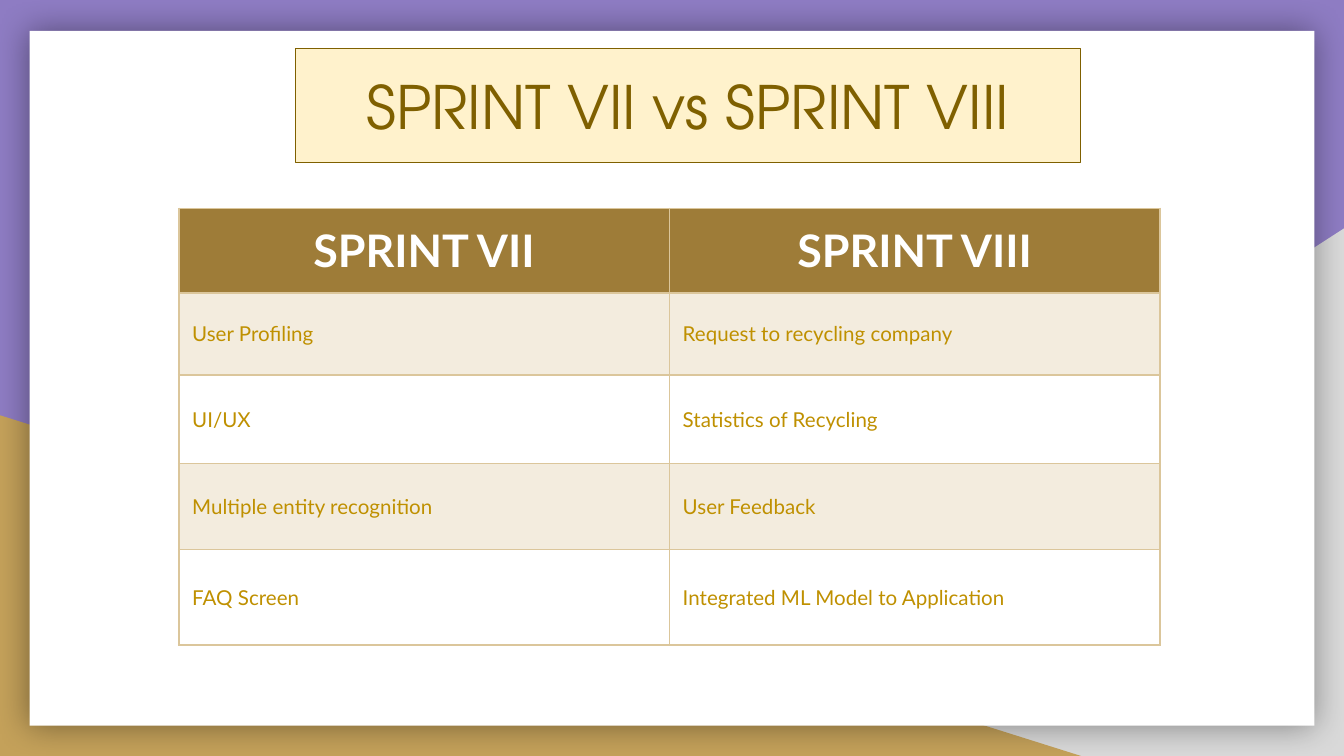
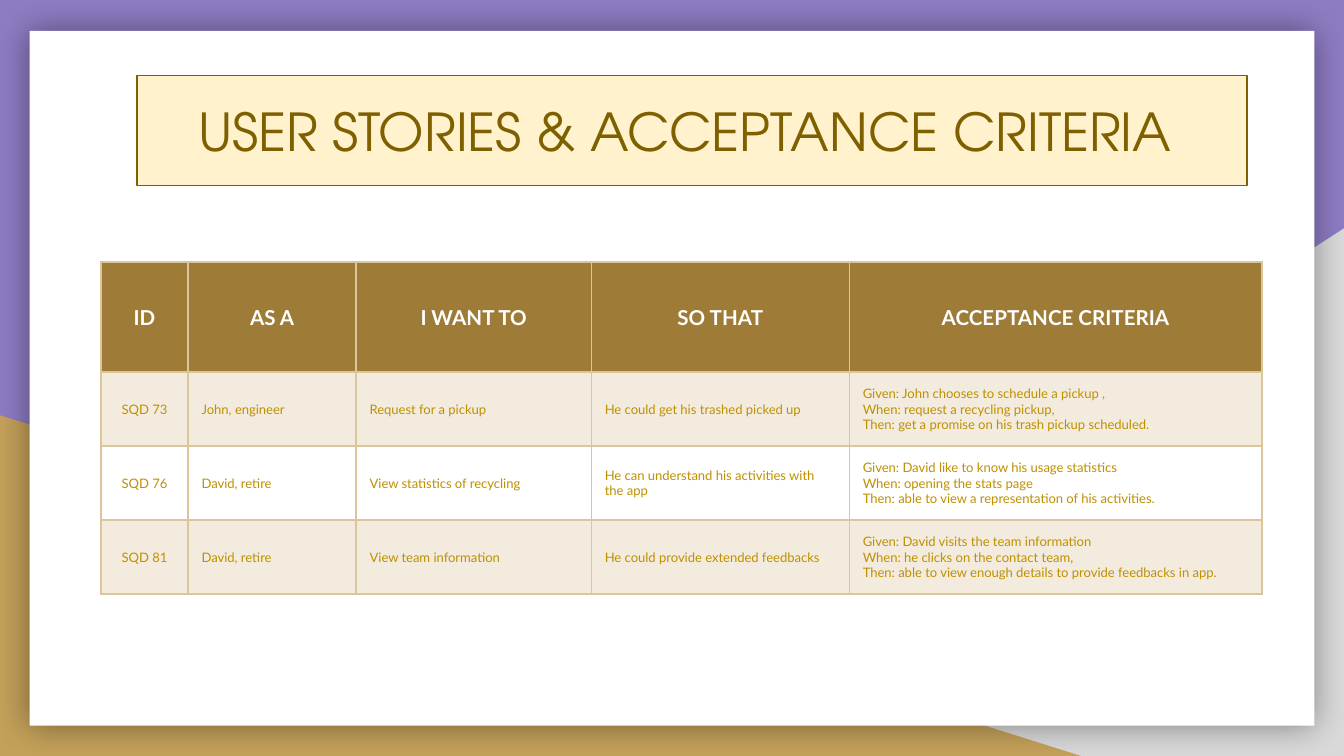
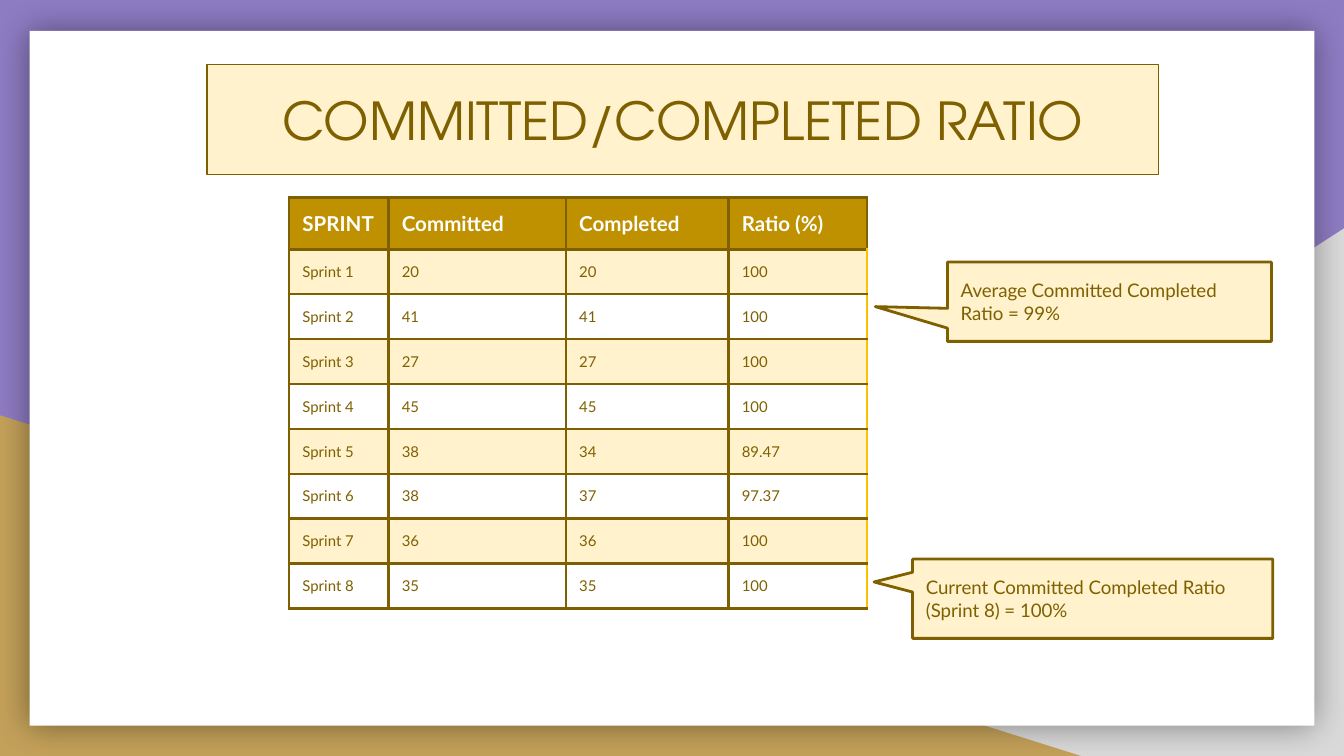
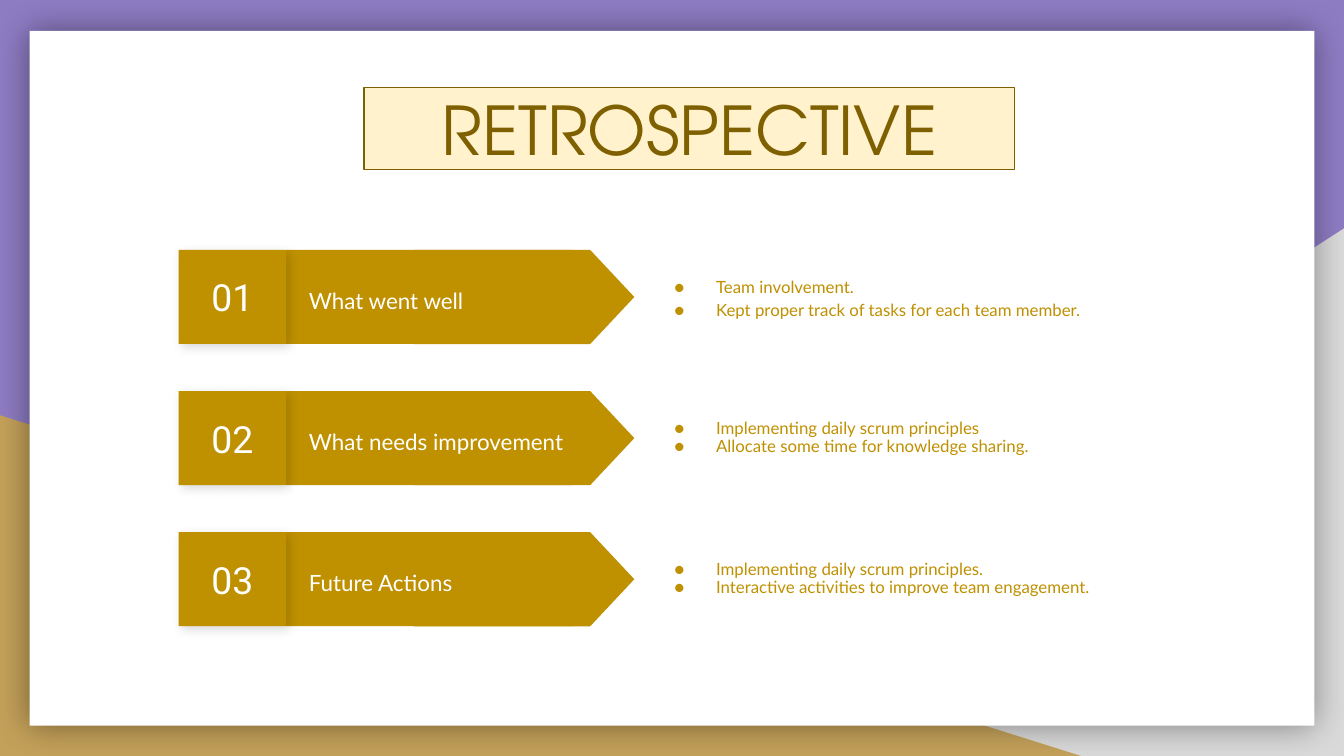
from lxml.etree import SubElement
from pptx import Presentation
from pptx.dml.color import RGBColor
from pptx.enum.shapes import MSO_SHAPE
from pptx.enum.text import MSO_ANCHOR, PP_ALIGN
from pptx.oxml import parse_xml
from pptx.oxml.ns import nsdecls, qn
from pptx.util import Inches, Pt

PURPLE = "8E7CC3"
GREY = "D9D9D9"
SAND = "C4A15A"
SAND_LINE = "DBC69B"
BROWN = "9E7C38"
GOLD = "BF9000"
AMBER = "FFC000"
CREAM = "FFF2CC"
OLIVE = "7F6000"
WHITE = "FFFFFF"
TITLE_FONT = "TeX Gyre Adventor"

color = RGBColor.from_string


def add_box(shapes, kind, at, fill, line=None, width=0.75, shadow=None):
    box = shapes.add_shape(kind, *map(Inches, at))
    box.fill.solid()
    box.fill.fore_color.rgb = color(fill)
    if line:
        box.line.color.rgb = color(line)
        box.line.width = Pt(width)
    else:
        box.line.fill.background()
    box.shadow.inherit = False
    if shadow:
        opacity, blur, distance, angle = shadow
        box.element.spPr.find(qn("a:effectLst")).append(parse_xml(
            f'<a:outerShdw {nsdecls("a")} blurRad="{Pt(blur)}" dist="{Pt(distance)}" '
            f'dir="{angle * 60000}" algn="ctr" rotWithShape="0"><a:srgbClr val="000000">'
            f'<a:alpha val="{opacity * 1000}"/></a:srgbClr></a:outerShdw>'))
    return box


def write(holder, text, size, ink, font="Lato", bold=False, align=PP_ALIGN.LEFT,
          anchor=MSO_ANCHOR.MIDDLE, inset=(0.1, 0.1), spacing=None, bullet=None):
    frame = getattr(holder, "text_frame", holder)
    frame.text = text
    frame.word_wrap = True
    holder.vertical_anchor = anchor
    holder.margin_left = holder.margin_right = Inches(inset[0])
    holder.margin_top = holder.margin_bottom = Inches(inset[1])
    for paragraph in frame.paragraphs:
        if bullet:
            properties = paragraph._p.get_or_add_pPr()
            properties.set("marL", str(Inches(0.5)))
            properties.set("indent", str(Inches(-0.31)))
            SubElement(SubElement(properties, qn("a:buClr")), qn("a:srgbClr")).set("val", ink)
            SubElement(properties, qn("a:buFont")).set("typeface", font)
            SubElement(properties, qn("a:buChar")).set("char", bullet)
        paragraph.alignment = align
        if spacing:
            paragraph.line_spacing = spacing
        for run in paragraph.runs:
            run.font.name = font
            run.font.size = Pt(size)
            run.font.bold = bold
            run.font.color.rgb = color(ink)


deck = Presentation()
deck.slide_width = Inches(10)
deck.slide_height = deck.slide_width * 9 // 16
blank = deck.slide_layouts[6]
slides = [deck.slides.add_slide(blank) for _ in range(4)]

master = deck.slide_master
master.background.fill.solid()
master.background.fill.fore_color.rgb = color(PURPLE)
draft = slides[0].shapes
grey_corner = add_box(draft, MSO_SHAPE.RIGHT_TRIANGLE, (3.92, 1.7, 6.08, 3.93), GREY)
grey_corner.element.spPr.xfrm.set("flipH", "1")
sand_corner = add_box(draft, MSO_SHAPE.RIGHT_TRIANGLE, (0, 3.09, 8.06, 2.54), SAND)
page = add_box(draft, MSO_SHAPE.RECTANGLE, (0.22, 0.23, 9.56, 5.17), WHITE, shadow=(40, 18, 0, 0))
for number, part in enumerate([grey_corner, sand_corner, page], 20):
    part.element.nvSpPr.cNvPr.set("id", str(number))
    master.shapes.element.append(part.element)

titles = [
    ("SPRINT VII vs SPRINT VIII", 32, (2.2, 0.36, 5.84, 0.85)),
    ("USER STORIES & ACCEPTANCE CRITERIA ", 28, (1.02, 0.56, 8.26, 0.82)),
    ("COMMITTED/COMPLETED RATIO", 28, (1.54, 0.48, 7.08, 0.82)),
    ("RETROSPECTIVE", 36, (2.71, 0.65, 4.84, 0.61)),
]
for slide, (title, size, at) in zip(slides, titles):
    banner = add_box(slide.shapes, MSO_SHAPE.RECTANGLE, at, CREAM, OLIVE)
    write(banner.text_frame, title, size, OLIVE, font=TITLE_FONT, align=PP_ALIGN.CENTER)

sprint_comparison = [
    ("SPRINT VII", "SPRINT VIII"),
    ("User Profiling", "Request to recycling company"),
    ("UI/UX", "Statistics of Recycling"),
    ("Multiple entity recognition", "User Feedback"),
    ("FAQ Screen", "Integrated ML Model to Application"),
]
user_stories = [
    ("ID", "AS A", "I WANT TO", "SO THAT", "ACCEPTANCE CRITERIA"),
    ("SQD 73", "John, engineer", "Request for a pickup", "He could get his trashed picked up",
     "Given: John chooses to schedule a pickup ,\nWhen: request a recycling pickup,\n"
     "Then: get a promise on his trash pickup scheduled."),
    ("SQD 76", "David, retire", "View statistics of recycling",
     "He can understand his activities with the app",
     "Given: David like to know his usage statistics\vWhen: opening the stats page\n"
     "Then: able to view a representation of his activities."),
    ("SQD 81", "David, retire", "View team information", "He could provide extended feedbacks",
     "Given: David visits the team information\nWhen: he clicks on the contact team,\n"
     "Then: able to view enough details to provide feedbacks in app."),
]
results = [(20, 20, "100"), (41, 41, "100"), (27, 27, "100"), (45, 45, "100"),
           (38, 34, "89.47"), (38, 37, "97.37"), (36, 36, "100"), (35, 35, "100")]
sprint_ratios = [("SPRINT", "Committed", "Completed", "Ratio (%)")]
for sprint, (committed, completed, ratio) in enumerate(results, 1):
    sprint_ratios.append((f"Sprint {sprint}", str(committed), str(completed), ratio))

sand_look = dict(head=BROWN, band=SAND, opacity=20, ink=GOLD, border=SAND_LINE, edge=SAND_LINE,
                 width=1, head_align=PP_ALIGN.CENTER, anchor=MSO_ANCHOR.MIDDLE)
gold_look = dict(head=GOLD, band=CREAM, opacity=100, ink=OLIVE, border=OLIVE, edge=AMBER,
                 width=1.5, head_align=PP_ALIGN.LEFT, anchor=MSO_ANCHOR.TOP)
tables = [
    (sprint_comparison, (1.33, 1.55), [3.65] * 2, [0.63, 0.61, 0.66, 0.64, 0.71],
     dict(sand_look, sizes=(24, 11), insets=((0.07, 0.03), (0.1, 0.05)), centred=0)),
    (user_stories, (0.75, 1.95), [0.65, 1.25, 1.75, 1.92, 3.07], [0.82] + [0.55] * 3,
     dict(sand_look, sizes=(11, 7), insets=((0.1, 0.1), (0.1, 0.1)), centred=1)),
    (sprint_ratios, (2.15, 1.47), [0.74, 1.32, 1.21, 1.03], [0.3] * 6 + [0.24] * 2 + [0.3],
     dict(gold_look, sizes=(11, 8), insets=((0.1, 0.1), (0.1, 0.1)), centred=0)),
]
for slide, (rows, corner, widths, heights, look) in zip(slides, tables):
    table = slide.shapes.add_table(len(rows), len(widths), *map(
        Inches, (*corner, sum(widths), sum(heights)))).table
    table.horz_banding = False
    for column, width in zip(table.columns, widths):
        column.width = Inches(width)
    for row, height in zip(table.rows, heights):
        row.height = Inches(height)
    for r, texts in enumerate(rows):
        for c, text in enumerate(texts):
            cell = table.cell(r, c)
            header = r == 0
            centred = c < look["centred"]
            align = look["head_align"] if header else PP_ALIGN.CENTER if centred else PP_ALIGN.LEFT
            write(cell, text, look["sizes"][not header], WHITE if header else look["ink"],
                  bold=header, align=align, anchor=look["anchor"],
                  inset=look["insets"][not header])
            if header or r % 2:
                cell.fill.solid()
                cell.fill.fore_color.rgb = color(look["head"] if header else look["band"])
            elif look["opacity"] == 100:
                cell.fill.solid()
                cell.fill.fore_color.rgb = color(WHITE)
            else:
                cell.fill.background()
            properties = cell._tc.get_or_add_tcPr()
            if r % 2 and look["opacity"] < 100:
                tint = properties.find(qn("a:solidFill"))[0]
                SubElement(tint, qn("a:alpha")).set("val", str(look["opacity"] * 1000))
            for place, side in enumerate("LRTB"):
                outer = side == "R" and c == len(texts) - 1 and not header
                border = look["edge"] if outer else look["border"]
                properties.insert(place, parse_xml(
                    f'<a:ln{side} {nsdecls("a")} w="{Pt(look["width"])}"><a:solidFill>'
                    f'<a:srgbClr val="{border}"/></a:solidFill></a:ln{side}>'))

callouts = [
    ("Average Committed Completed Ratio = 99%", (7.05, 1.95, 2.41, 0.59), (-0.723, 0.062)),
    ("Current Committed Completed Ratio (Sprint 8) = 100%", (6.79, 4.16, 2.68, 0.59),
     (-0.607, -0.211)),
]
for remark, at, tip in callouts:
    callout = add_box(slides[2].shapes, MSO_SHAPE.RECTANGULAR_CALLOUT, at, CREAM, OLIVE, 1.5)
    callout.adjustments[0], callout.adjustments[1] = tip
    write(callout.text_frame, remark, 10, OLIVE)

topics = [
    ("What went well", 1.15,
     "Team involvement.\nKept proper track of tasks for each team member."),
    ("What needs improvement", 0.9,
     "Implementing daily scrum principles\nAllocate some time for knowledge sharing."),
    ("Future Actions", 0.9,
     "Implementing daily scrum principles.\nInteractive activities to improve team engagement."),
]
for index, (topic, spacing, points) in enumerate(topics):
    top = 1.86 + 1.05 * index
    parts = slides[3].shapes.add_group_shape().shapes
    add_box(parts, MSO_SHAPE.RECTANGLE, (2.13, top, 2.13, 0.7), GOLD)
    arrow = add_box(parts, MSO_SHAPE.FLOWCHART_OFFPAGE_CONNECTOR, (3.55, top - 0.47, 0.7, 1.64), GOLD)
    arrow.rotation = 270
    label = add_box(parts, MSO_SHAPE.RECTANGLE, (2.2, top + 0.09, 2.24, 0.54), GOLD)
    write(label.text_frame, topic, 12, WHITE, spacing=1.15)
    tile = add_box(parts, MSO_SHAPE.RECTANGLE, (1.33, top, 0.8, 0.7), GOLD, shadow=(15, 5.6, 2.2, 45))
    write(tile.text_frame, f"{index + 1:02}", 20, WHITE, font="Roboto", align=PP_ALIGN.CENTER)
    notes = add_box(parts, MSO_SHAPE.RECTANGLE, (4.73, top, 3.93, 0.7), WHITE)
    write(notes.text_frame, points, 9, GOLD, spacing=spacing, bullet="●")

deck.save("out.pptx")
